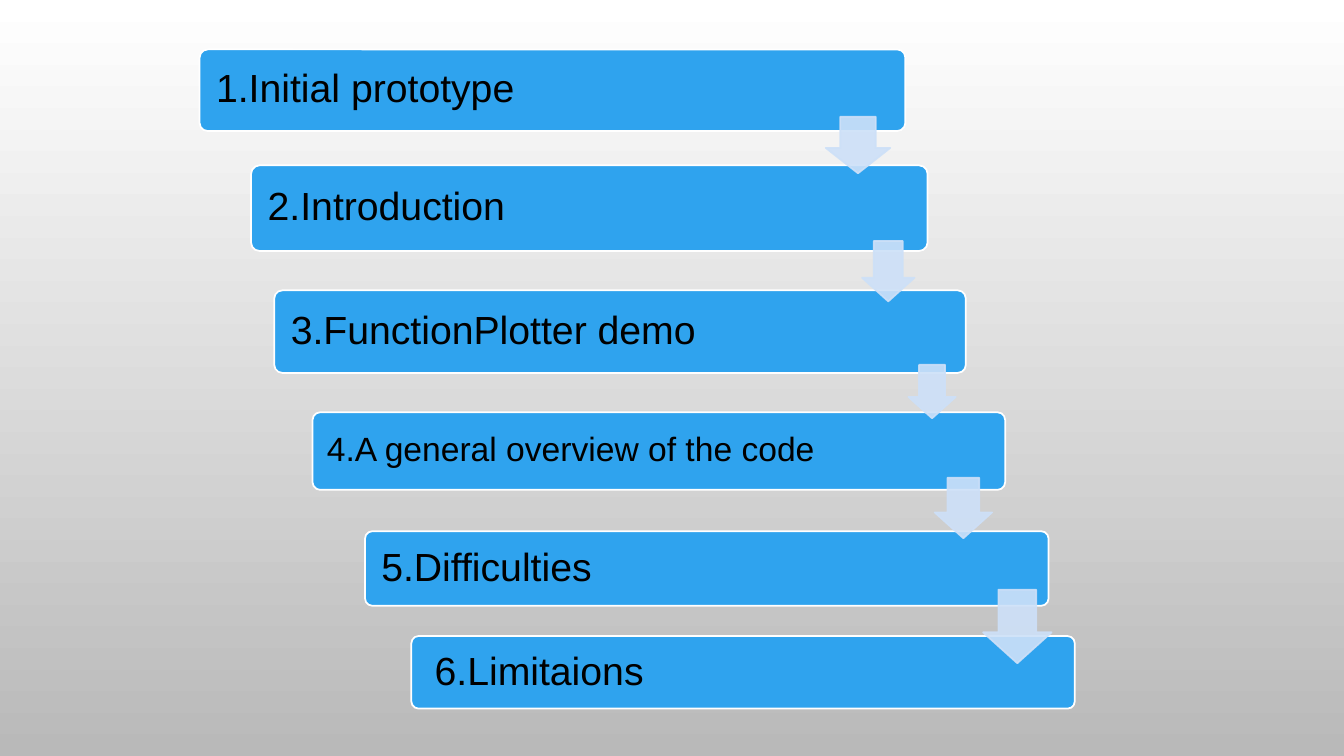
from dataclasses import dataclass

from lxml import etree
from pptx import Presentation
from pptx.dml.color import RGBColor
from pptx.enum import shapes, text
from pptx.oxml import ns
from pptx.shapes.autoshape import Shape
from pptx.slide import Slide
from pptx.util import Inches, Pt


@dataclass(frozen=True)
class Theme:
    font: str = "Arial"
    topic_size: int = 28
    long_topic_size: int = 24
    ink: str = "000000"
    bar: str = "2FA3EE"
    bar_edge: str = "FFFFFF"
    arrow: str = "CDE0F8"
    arrow_opacity: int = 90
    edge_width: float = 1.25
    backdrop: tuple[str, str] = ("FFFFFF", "B9B9B9")


@dataclass(frozen=True)
class Box:
    left: float
    top: float
    width: float
    height: float


THEME = Theme()


@dataclass(frozen=True)
class Topic:
    title: str
    box: Box
    size: int = THEME.topic_size
    inset: float = 0.14


TOPICS = [
    Topic("1.Initial prototype", Box(1.98, 0.49, 7, 0.81)),
    Topic("2.Introduction", Box(2.49, 1.64, 6.71, 0.85)),
    Topic("3.FunctionPlotter demo", Box(2.72, 2.88, 6.86, 0.82)),
    Topic("4.A general overview of the code", Box(3.1, 4.09, 6.87, 0.77),
          size=THEME.long_topic_size, inset=0.12),
    Topic("5.Difficulties", Box(3.62, 5.27, 6.78, 0.74)),
    Topic("6.Limitaions", Box(4.08, 6.31, 6.58, 0.72), inset=0.21),
]

STEP_ARROWS = [
    Box(8.19, 1.16, 0.64, 0.56),
    Box(8.55, 2.39, 0.52, 0.6),
    Box(9.01, 3.62, 0.47, 0.53),
    Box(9.27, 4.74, 0.57, 0.6),
    Box(9.75, 5.85, 0.68, 0.73),
]


def paint_backdrop(slide: Slide) -> None:
    fill = slide.background.fill
    fill.gradient()
    fill.gradient_angle = 270
    for stop, color in zip(fill.gradient_stops, THEME.backdrop):
        stop.color.rgb = RGBColor.from_string(color)


def add_preset(slide: Slide, preset: shapes.MSO_SHAPE, box: Box, *, fill: str,
               edge: str, adjustments: tuple[float, ...]) -> Shape:
    preset_shape = slide.shapes.add_shape(
        preset, Inches(box.left), Inches(box.top), Inches(box.width), Inches(box.height))
    preset_shape.shadow.inherit = False
    preset_shape.fill.solid()
    preset_shape.fill.fore_color.rgb = RGBColor.from_string(fill)
    preset_shape.line.color.rgb = RGBColor.from_string(edge)
    preset_shape.line.width = Pt(THEME.edge_width)
    for index, value in enumerate(adjustments):
        preset_shape.adjustments[index] = value
    return preset_shape


def write_text(holder: Shape, wording: str, *, size: int, inset: float,
               color: str = THEME.ink, font: str = THEME.font) -> None:
    frame = holder.text_frame
    frame.word_wrap = True
    frame.vertical_anchor = text.MSO_ANCHOR.MIDDLE
    frame.margin_left = frame.margin_right = Inches(inset)
    frame.margin_top = frame.margin_bottom = Inches(inset)
    paragraph = frame.paragraphs[0]
    paragraph.alignment = text.PP_ALIGN.LEFT
    paragraph.line_spacing = 0.9
    run = paragraph.add_run()
    run.text = wording
    run.font.name = font
    run.font.size = Pt(size)
    run.font.color.rgb = RGBColor.from_string(color)


def set_opacity(target: Shape, percent: int) -> None:
    for color in target._element.spPr.iter(ns.qn("a:srgbClr")):
        etree.SubElement(color, ns.qn("a:alpha")).set("val", str(percent * 1000))


def add_topic(slide: Slide, topic: Topic) -> None:
    bar = add_preset(slide, shapes.MSO_SHAPE.ROUNDED_RECTANGLE, topic.box,
                     fill=THEME.bar, edge=THEME.bar_edge, adjustments=(0.1,))
    write_text(bar, topic.title, size=topic.size, inset=topic.inset)


def add_step_arrow(slide: Slide, box: Box) -> None:
    arrow = add_preset(slide, shapes.MSO_SHAPE.DOWN_ARROW, box,
                       fill=THEME.arrow, edge=THEME.arrow, adjustments=(0.55, 0.45))
    set_opacity(arrow, THEME.arrow_opacity)


def main() -> None:
    deck = Presentation()
    deck.slide_width = Inches(13.33)
    deck.slide_height = Inches(7.5)
    agenda = deck.slides.add_slide(deck.slide_layouts[6])
    paint_backdrop(agenda)
    for topic in TOPICS:
        add_topic(agenda, topic)
    for box in STEP_ARROWS:
        add_step_arrow(agenda, box)
    deck.save("out.pptx")


if __name__ == "__main__":
    main()
